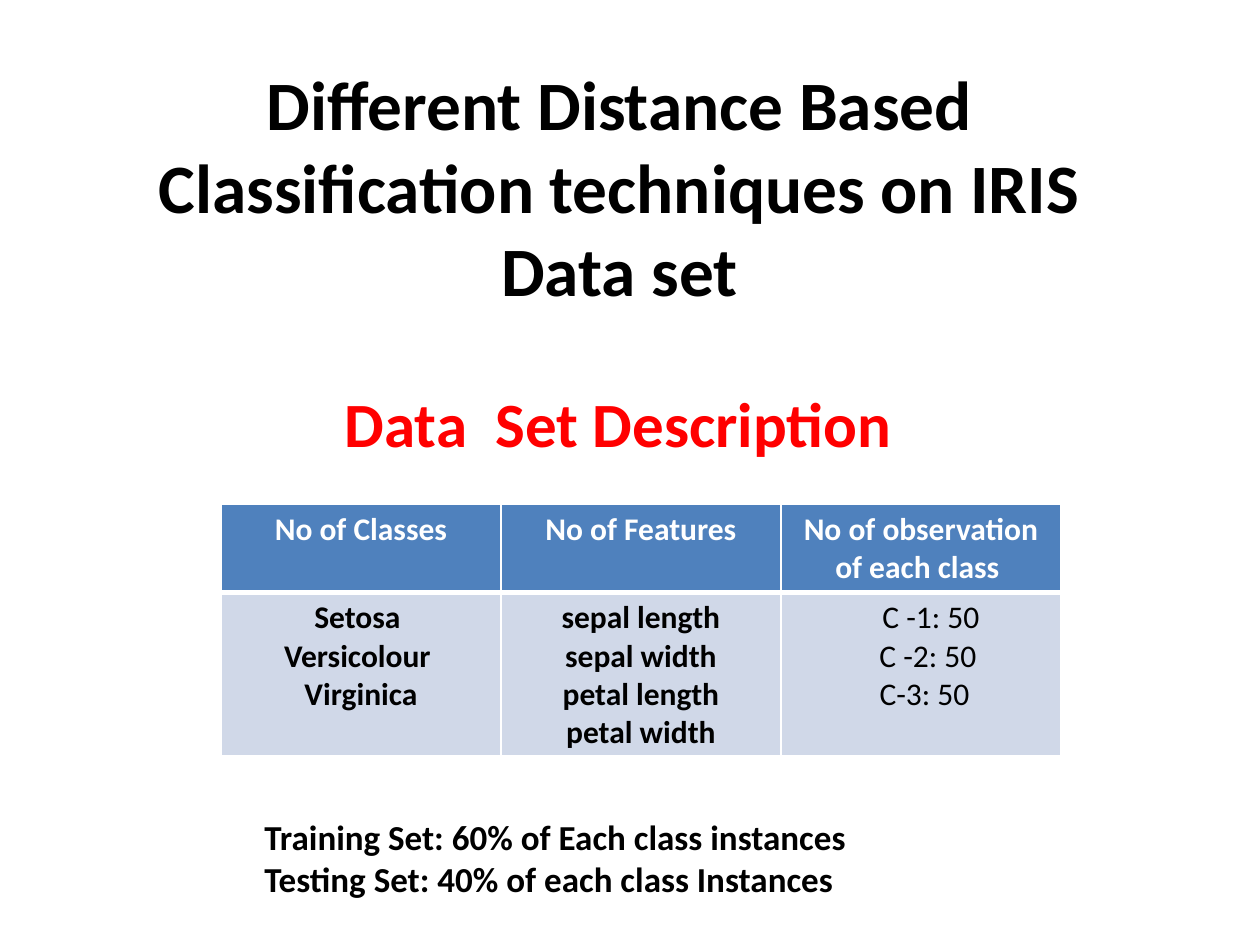
import pptx
import pptx.util
import pptx.dml.color
import pptx.enum.text
import pptx.oxml
import pptx.oxml.ns

PIXEL = 914400 // 126
FONT = "Calibri"
COLOURS = {"black": "000000", "red": "FF0000", "white": "FFFFFF",
           "header": "4F81BD", "body": "D0D8E8"}

TITLE = "Different Distance Based Classification techniques on IRIS Data set"
SUBTITLE = "Data  Set Description "
HEADERS = ["No of Classes", "No of Features", "No of observation of each class "]
COLUMNS = [
    ["Setosa ", "Versicolour ", "Virginica"],
    ["sepal length", "sepal width", "petal length", "petal width"],
    ["C -1: 50", "C -2: 50", "C-3: 50"],
]
COUNT_INDENTS = [20, 14, 7]
SPLITS = ["Training Set: 60% of Each class instances ",
          "Testing Set: 40% of each class Instances "]

TITLE_AREA = (84, 84, 1071, 203)
SUBTITLE_AREA = (221, 378, 809, 89)
TABLE_AREA = (221, 504, 840, 104)
SPLITS_AREA = (252, 809, 746, 97)

ALIGN = pptx.enum.text.PP_ALIGN
ANCHOR = pptx.enum.text.MSO_ANCHOR


def emu(pixels):
    """Turn pixels into EMU."""
    return pptx.util.Emu(pixels * PIXEL)


def rgb(name):
    """Look up a named colour."""
    return pptx.dml.color.RGBColor.from_string(COLOURS[name])


def write(frame, lines, size, colour, align=ALIGN.CENTER, bold=True, indents=()):
    """Write one paragraph per line, with optional left indents."""
    for index, line in enumerate(lines):
        para = frame.paragraphs[0] if index == 0 else frame.add_paragraph()
        para.alignment = align
        if indents:
            para._p.get_or_add_pPr().set("marL", str(emu(indents[index])))
        span = para.add_run()
        span.text = line
        span.font.name = FONT
        span.font.size = pptx.util.Pt(size)
        span.font.bold = bold
        span.font.color.rgb = rgb(colour)


def add_text(page, area, lines, size, colour, align):
    """Add a wrapping text box."""
    frame = page.shapes.add_textbox(*map(emu, area)).text_frame
    frame.word_wrap = True
    write(frame, lines, size, colour, align)


def set_borders(cell, widths):
    """Give a cell white borders, widths in points by side."""
    properties = cell._tc.get_or_add_tcPr()
    for index, (side, points) in enumerate(widths.items()):
        properties.insert(index, pptx.oxml.parse_xml(
            f'<a:ln{side} {pptx.oxml.ns.nsdecls("a")} w="{pptx.util.Pt(points)}">'
            f'<a:solidFill><a:srgbClr val="{COLOURS["white"]}"/></a:solidFill>'
            f'</a:ln{side}>'))


def add_data_table(page):
    """Add the data set table, whose rows grow with their text."""
    table = page.shapes.add_table(2, len(HEADERS), *map(emu, TABLE_AREA)).table
    for column, (header, values) in enumerate(zip(HEADERS, COLUMNS)):
        last = column == len(HEADERS) - 1
        top, bottom = table.cell(0, column), table.cell(1, column)
        write(top.text_frame, [header], 18, "white")
        write(bottom.text_frame, values, 18, "black", bold=not last,
              indents=COUNT_INDENTS if last else ())
        for cell, fill, above, below in ((top, "header", 1, 3), (bottom, "body", 3, 1)):
            cell.fill.solid()
            cell.fill.fore_color.rgb = rgb(fill)
            set_borders(cell, {"L": 1, "R": 1, "T": above, "B": below})


deck = pptx.Presentation()
deck.slide_width, deck.slide_height = emu(1260), emu(945)
page = deck.slides.add_slide(deck.slide_layouts[0])
subtitle = page.placeholders[1]
subtitle.element.getparent().remove(subtitle.element)

title = page.shapes.title
title.left, title.top, title.width, title.height = map(emu, TITLE_AREA)
title.text_frame.word_wrap = True
title.text_frame.auto_size = pptx.enum.text.MSO_AUTO_SIZE.NONE
title.text_frame.vertical_anchor = ANCHOR.MIDDLE
write(title.text_frame, [TITLE], 39.6, "black")

add_text(page, SUBTITLE_AREA, [SUBTITLE], 36, "red", ALIGN.CENTER)
add_data_table(page)
add_text(page, SPLITS_AREA, SPLITS, 20, "black", ALIGN.LEFT)

deck.save("out.pptx")
